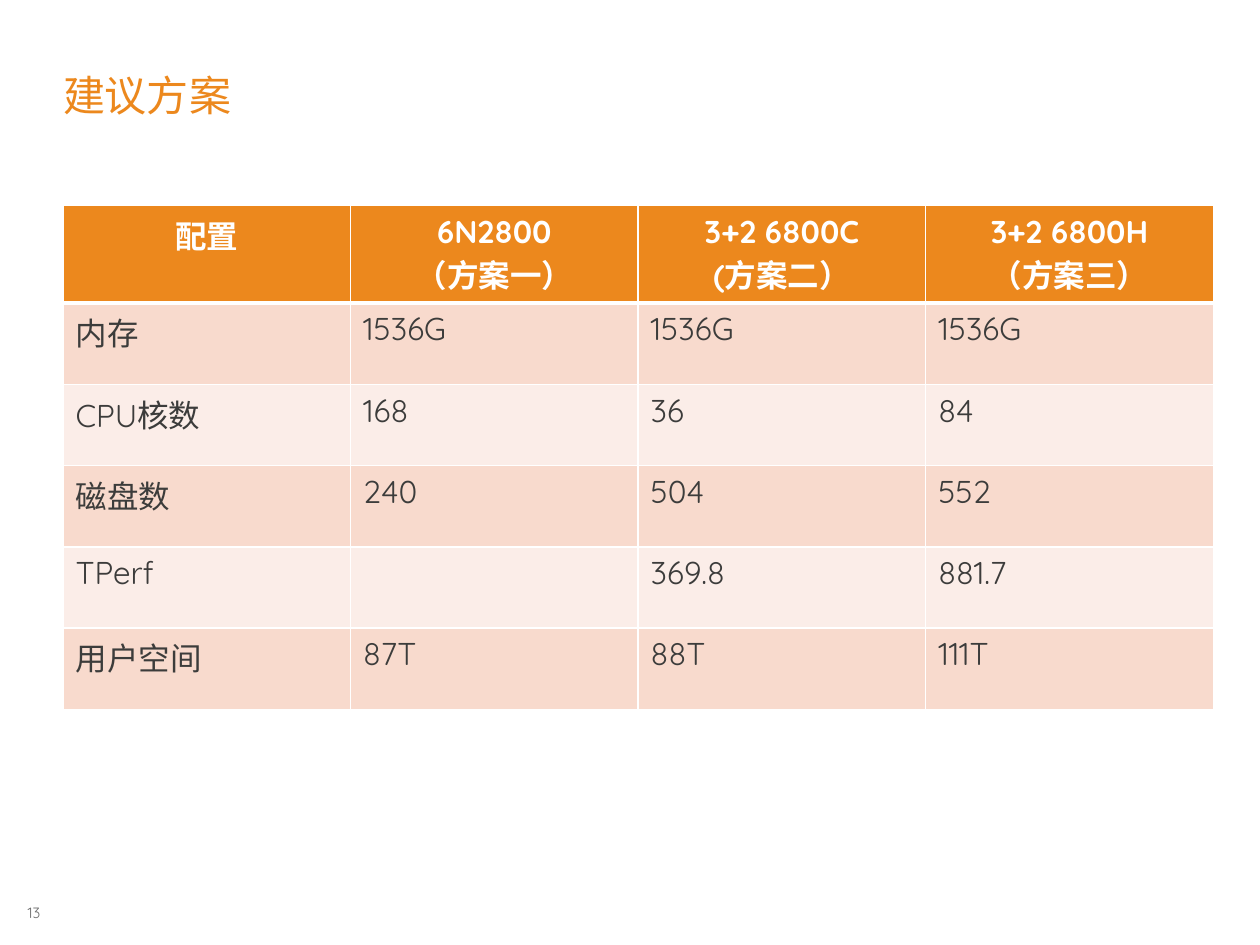
from lxml.etree import SubElement
from pptx import Presentation
from pptx.dml.color import RGBColor
from pptx.enum.text import MSO_ANCHOR as Anchor, MSO_AUTO_SIZE as AutoSize, PP_ALIGN as Align
from pptx.oxml.ns import qn
from pptx.util import Inches, Pt

FONT = "Quicksand"
ORANGE = RGBColor(0xEC, 0x88, 0x1D)
PEACH = RGBColor(0xF8, 0xDA, 0xCD)
PALE = RGBColor(0xFB, 0xED, 0xE8)
DARK = RGBColor(0x3C, 0x3C, 0x3B)
GREY = RGBColor(0x6C, 0x6C, 0x6C)
WHITE = RGBColor(0xFF, 0xFF, 0xFF)

ROWS = [
    ["配置", "6N2800\n（方案一）", "3+2 6800C\n(方案二）", "3+2 6800H\n（方案三）"],
    ["内存", "1536G", "1536G", "1536G"],
    ["CPU核数", "168", "36", "84"],
    ["磁盘数", "240", "504", "552"],
    ["TPerf", "", "369.8", "881.7"],
    ["用户空间", "87T", "88T", "111T"],
]


def write(frame, text, size, color, align=Align.LEFT, bold=False):
    for index, line in enumerate(text.split("\n")):
        para = frame.add_paragraph() if index else frame.paragraphs[0]
        para.alignment = align
        para.font.size = Pt(size)
        if line:
            span = para.add_run()
            span.text = line
            span.font.name = FONT
            span.font.size = Pt(size)
            span.font.bold = bold
            span.font.color.rgb = color


def add_borders(cell, widths):
    properties = cell._tc.get_or_add_tcPr()
    for index, (side, width) in enumerate(widths.items()):
        line = SubElement(properties, qn(f"a:ln{side}"), w=str(Pt(width)))
        fill = SubElement(line, qn("a:solidFill"))
        SubElement(fill, qn("a:srgbClr"), val=str(WHITE))
        properties.insert(index, line)


deck = Presentation()
deck.slide_width = Inches(10)
deck.slide_height = Inches(7.5)
page = deck.slides.add_slide(deck.slide_layouts[5])

title = page.shapes.title
title.left, title.top = Inches(0.5), Inches(0.19)
title.width, title.height = Inches(9), Inches(0.77)
frame = title.text_frame
frame.margin_left = frame.margin_top = frame.margin_right = frame.margin_bottom = 0
frame.vertical_anchor = Anchor.BOTTOM
frame.auto_size = AutoSize.NONE
write(frame, "建议方案", 24, ORANGE)
frame.paragraphs[0].line_spacing = 0.95

table = page.shapes.add_table(
    len(ROWS), len(ROWS[0]), Inches(0.5), Inches(1.63), Inches(9.13), Inches(3.87)
).table
table.horz_banding = False

for row, texts in enumerate(ROWS):
    header = row == 0
    for column, text in enumerate(texts):
        cell = table.cell(row, column)
        cell.fill.solid()
        if header:
            cell.fill.fore_color.rgb = ORANGE
            write(cell.text_frame, text, 18, WHITE, Align.CENTER, True)
        else:
            cell.fill.fore_color.rgb = PEACH if row % 2 else PALE
            write(cell.text_frame, text, 18, DARK)
        add_borders(cell, {"L": 1, "R": 1, "T": 3 if row == 1 else 1, "B": 3 if header else 1})

number = page.shapes.add_textbox(Inches(0.17), Inches(7.17), Inches(0.15), Inches(0.14))
frame = number.text_frame
frame.margin_left = frame.margin_top = frame.margin_right = frame.margin_bottom = 0
frame.word_wrap = False
frame.auto_size = AutoSize.SHAPE_TO_FIT_TEXT
write(frame, "13", 8.5, GREY, Align.RIGHT)

deck.save("out.pptx")
